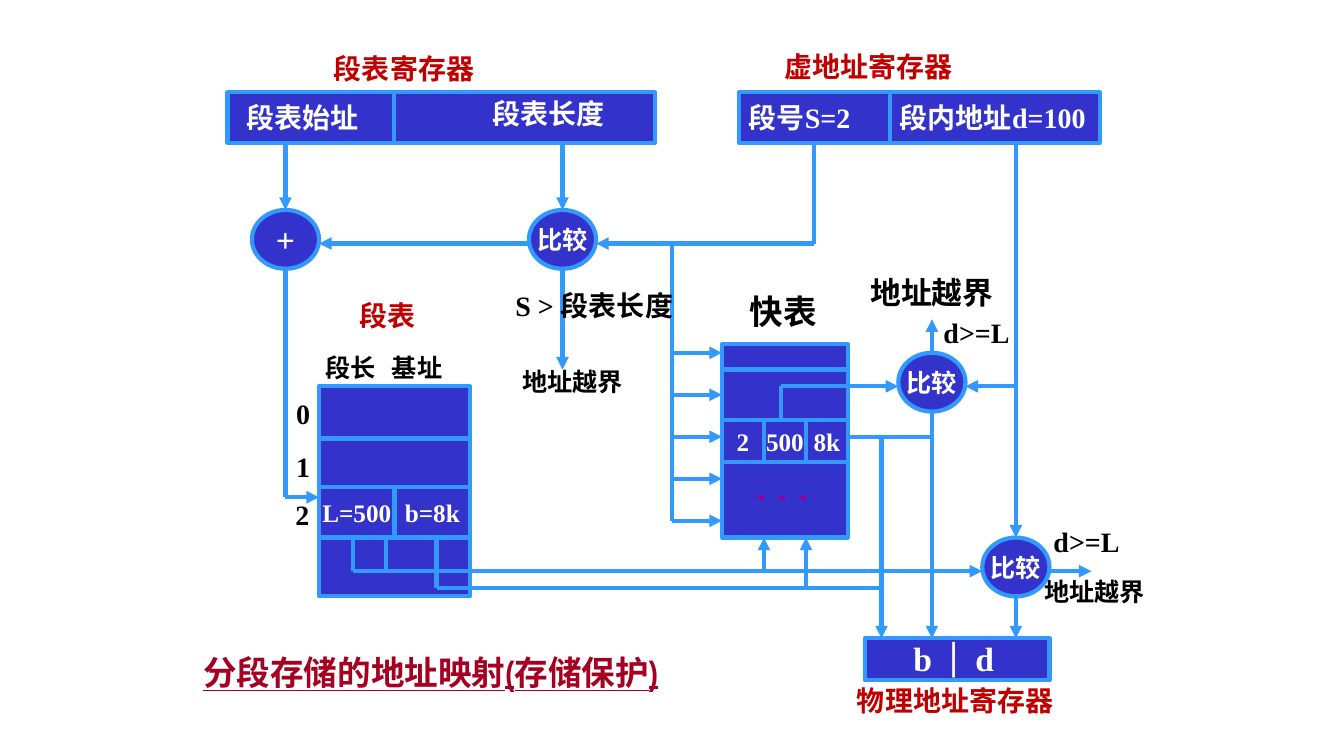
from dataclasses import dataclass
from itertools import pairwise

from lxml import etree
from pptx import Presentation, util as u
from pptx.dml.color import RGBColor
from pptx.enum import shapes, text
from pptx.oxml.ns import qn


@dataclass(frozen=True)
class Theme:
    fill: str = "3333CC"
    line: str = "3399FF"
    white: str = "FFFFFF"
    black: str = "000000"
    red: str = "C00000"
    dots: str = "990099"
    title: str = "A50021"
    latin: str = "Times New Roman"
    title_latin: str = "Arial Narrow"
    asian: str = "Noto Sans CJK SC"
    small: int = 18
    body: int = 20
    over: int = 22
    large: int = 24
    bar: int = 28
    stroke: int = 3


T = Theme()

# Content: all positions are columns and rows of a grid, 12 to the inch
TITLE = "分段存储的地址映射(存储保护)"

# Each block: row edges, and for every row its column edges and texts
BLOCKS = [
    ([11, 17], [([27.1, 46.9, 78], ["", ""])], T.body),
    ([11, 17], [([88, 106, 131], ["段号S=2", "段内地址d=100"])], T.body),
    ([46, 52.2, 58, 64, 71],
     [([38, 56], [""]), ([38, 56], [""]),
      ([38, 47, 56], ["L=500", "b=8k"]), ([38, 56], [""])], T.small),
    ([41, 44, 50, 55, 64],
     [([86, 101], [""]), ([86, 101], [""]),
      ([86, 91, 96, 101], ["2", "500", "8k"]), ([86, 101], [""])], T.small),
    ([76, 81], [([103, 125], [""])], T.small),
]

NODES = [(30, 25, "+", T.large), (63, 25, "比较", T.small),
         (107, 42, "比较", T.small), (117, 64, "比较", T.small)]

ARROWS = [
    [(34, 17), (34, 25)],
    [(67, 17), (67, 25)],
    [(67, 32), (67, 44)],
    [(63, 29), (38, 29)],
    [(97, 17), (97, 29), (71, 29)],
    [(34, 32), (34, 59.2), (38, 59.2)],
    *[[(80, row), (86, row)] for row in range(42, 63, 5)],
    [(121, 17), (121, 64)],
    [(121, 71), (121, 76)],
    [(121, 46), (115, 46)],
    [(111, 49), (111, 76)],
    [(111, 42), (111, 38)],
    [(93, 50), (93, 46), (107, 46)],
    [(42, 64), (42, 68), (117, 68)],
    [(91, 68), (91, 64)],
    [(96, 70), (96, 64)],
    [(125, 68), (130, 68)],
    [(101, 52), (105, 52), (105, 76)],
]
PLAIN = [
    [(80, 29), (80, 62)],
    [(105, 52), (111, 52)],
    [(46, 64), (46, 68)],
    [(52, 64), (52, 70), (105, 70)],
]

LABELS = [
    (92.3, 5.3, "虚地址寄存器", T.body, T.red),
    (28.2, 11.4, "段表始址", T.body, T.white),
    (57.5, 10.9, "段表长度", T.body, T.white),
    (41.6, 35, "段表", T.body, T.red),
    (37.6, 41.3, "段长", T.small, T.black),
    (45.5, 41.3, "基址", T.small, T.black),
    (34.1, 46.6, "0", T.body, T.black),
    (34.1, 52.9, "1", T.body, T.black),
    (34, 58.6, "2", T.body, T.black),
    (60.2, 33.8, "S > 段表长度", T.body, T.black),
    (61, 43, "地址越界", T.small, T.black),
    (88.1, 34, "快表", T.large, T.black),
    *[(89 + 2.5 * i, 55, ".", T.large, T.dots) for i in range(3)],
    (102.5, 32, "地址越界", T.over, T.black),
    (111.2, 37, "d>=L", T.body, T.black),
    (124.3, 61.8, "d>=L", T.body, T.black),
    (123.2, 68, "地址越界", T.small, T.black),
    (107.6, 75.3, "b", T.large, T.white),
    (111.9, 74.5, "|", T.bar, T.white),
    (115, 75.3, "d", T.large, T.white),
    (100.9, 80.8, "物理地址寄存器", T.body, T.red),
]
REGISTER_TITLE = (38.6, 5.5, "段表寄存器", T.body, T.red)


def grid(*cells):
    return [u.Inches(cell / 12) for cell in cells]


def write(box, words, size, color, latin=T.latin):
    frame = box.text_frame
    frame.text = words
    for span in frame.paragraphs[0].runs:
        font = span.font
        font.size, font.bold, font.name = u.Pt(size), True, latin
        font.color.rgb = RGBColor.from_string(color)
        asian = etree.SubElement(font._element, qn("a:ea"))
        asian.set("typeface", T.asian)


def add_box(page, kind, area, words, size, align):
    box = page.shapes.add_shape(kind, *grid(*area))
    box.shadow.inherit = False
    box.fill.solid()
    box.fill.fore_color.rgb = RGBColor.from_string(T.fill)
    box.line.color.rgb = RGBColor.from_string(T.line)
    box.line.width = u.Pt(T.stroke)
    frame = box.text_frame
    frame.word_wrap = False
    frame.vertical_anchor = text.MSO_ANCHOR.MIDDLE
    frame.margin_left = frame.margin_right = u.Inches(0.1 if align == text.PP_ALIGN.LEFT else 0)
    if words:
        write(box, words, size, T.white)
        frame.paragraphs[0].alignment = align
    return box


def add_wire(page, points, sites, arrow):
    legs = list(pairwise(points))
    for leg in legs:
        start, end = leg
        wire = page.shapes.add_connector(shapes.MSO_CONNECTOR.STRAIGHT, *grid(*start, *end))
        wire.line.color.rgb = RGBColor.from_string(T.line)
        wire.line.width = u.Pt(T.stroke)
        if start in sites:
            wire.begin_connect(*sites[start])
        if end in sites:
            wire.end_connect(*sites[end])
        props = wire._element.spPr
        if arrow and leg == legs[-1]:
            etree.SubElement(props.find(qn("a:ln")), qn("a:tailEnd")).set("type", "triangle")
        etree.SubElement(props, qn("a:effectLst"))


def add_label(page, x, y, words, size, color):
    # Asian characters are one em wide, the others at most 0.6; the rest is margin and slack
    ems = sum(1 if ord(char) > 255 else 0.6 for char in words)
    box = page.shapes.add_textbox(*grid(x, y), u.Inches(ems * size / 72 + 0.25),
                                  u.Inches(size * 1.2 / 72 + 0.1))
    box.text_frame.word_wrap = True
    write(box, words, size, color)
    return box


def main():
    deck = Presentation()
    deck.slide_width, deck.slide_height = u.Inches(13.34), u.Inches(7.5)
    page = deck.slides.add_slide(deck.slide_layouts[5])

    # Title
    title = page.shapes.title
    title.left, title.top, title.width, title.height = grid(23, 77, 67.5, 10)
    write(title, TITLE, T.large, T.title, T.title_latin)
    title.text_frame.vertical_anchor = text.MSO_ANCHOR.TOP
    title.text_frame.auto_size = text.MSO_AUTO_SIZE.NONE
    para = title.text_frame.paragraphs[0]
    para.alignment = text.PP_ALIGN.LEFT
    para.runs[0].font.underline = True

    # Registers and tables; remember the middle of each cell side
    sites = {}
    for edges, rows, size in BLOCKS:
        align = text.PP_ALIGN.LEFT if size == T.body else text.PP_ALIGN.CENTER
        for (top, bottom), (columns, words) in zip(pairwise(edges), rows):
            for (left, right), word in zip(pairwise(columns), words):
                area = (left, top, right - left, bottom - top)
                cell = add_box(page, shapes.MSO_SHAPE.RECTANGLE, area, word, size, align)
                x, y = (left + right) / 2, (top + bottom) / 2
                for side, spot in enumerate([(x, top), (left, y), (x, bottom), (right, y)]):
                    sites[spot] = (cell, side)

    # Adder and comparators
    for x, y, word, size in NODES:
        add_box(page, shapes.MSO_SHAPE.OVAL, (x, y, 8, 7), word, size, text.PP_ALIGN.CENTER)

    # Wires
    for points in PLAIN:
        add_wire(page, points, sites, False)
    for points in ARROWS:
        add_wire(page, points, sites, True)

    # Labels
    for label in LABELS:
        add_label(page, *label)
    register_title = add_label(page, *REGISTER_TITLE)
    register_title.fill.solid()
    register_title.fill.fore_color.rgb = RGBColor.from_string(T.white)

    deck.save("out.pptx")


if __name__ == "__main__":
    main()
